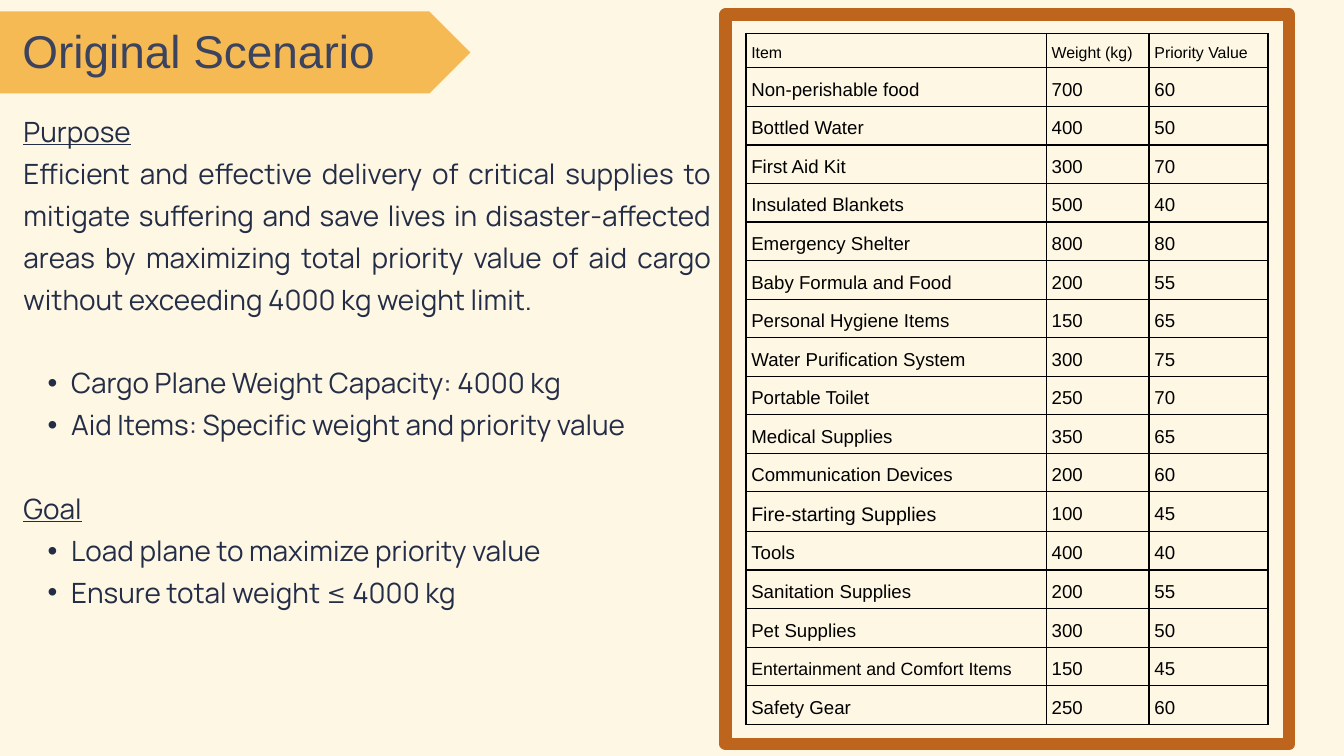
from pptx import Presentation
from pptx.dml.color import RGBColor
from pptx.enum.shapes import MSO_SHAPE as Preset
from pptx.enum.text import MSO_ANCHOR as Anchor, MSO_AUTO_SIZE as AutoSize, PP_ALIGN as Align
from pptx.oxml.ns import qn
from pptx.util import Inches, Pt
from lxml.etree import SubElement


def paint(color_format, hex_code):
    color_format.rgb = RGBColor.from_string(hex_code)


def write(paragraph, text, font_name, size, hex_code, spacing):
    paragraph.line_spacing = Pt(spacing)
    run = paragraph.add_run()
    run.text = text
    run.font.name = font_name
    run.font.size = Pt(size)
    paint(run.font.color, hex_code)
    return run


presentation = Presentation()
presentation.slide_width = Inches(20)
presentation.slide_height = Inches(11.25)
column = presentation.slide_width / 200
row = presentation.slide_height / 112.5

slide = presentation.slides.add_slide(presentation.slide_layouts[5])
slide.background.fill.solid()
paint(slide.background.fill.fore_color, "FEF7E4")
shapes = slide.shapes

frame = shapes.add_shape(Preset.RECTANGLE, int(108 * column), int(2.2 * row), int(83.8 * column), int(108.5 * row))
frame.shadow.inherit = False
frame.fill.solid()
paint(frame.fill.fore_color, "FEF7E4")
frame.line.width = Pt(13.5)
paint(frame.line.color, "BD651D")

supplies = [
    ("Item", "Weight (kg)", "Priority Value"),
    ("Non-perishable food", 700, 60),
    ("Bottled Water", 400, 50),
    ("First Aid Kit", 300, 70),
    ("Insulated Blankets", 500, 40),
    ("Emergency Shelter", 800, 80),
    ("Baby Formula and Food", 200, 55),
    ("Personal Hygiene Items", 150, 65),
    ("Water Purification System", 300, 75),
    ("Portable Toilet", 250, 70),
    ("Medical Supplies", 350, 65),
    ("Communication Devices", 200, 60),
    ("Fire-starting Supplies", 100, 45),
    ("Tools", 400, 40),
    ("Sanitation Supplies", 200, 55),
    ("Pet Supplies", 300, 50),
    ("Entertainment and Comfort Items", 150, 45),
    ("Safety Gear", 250, 60),
]
special_sizes = {"Fire-starting Supplies": 21, "Entertainment and Comfort Items": 19}
special_heights = {"Item": 5.1, "Fire-starting Supplies": 5.9}

table = shapes.add_table(
    len(supplies), 3, int(111 * column), int(5 * row), int(77.7 * column), int(102.9 * row)
).table
table.first_row = table.horz_banding = False
for table_column, width in zip(table.columns, (44.7, 15.3, 17.7)):
    table_column.width = int(width * column)
for row_index, supply in enumerate(supplies):
    table.rows[row_index].height = int(special_heights.get(supply[0], 5.74) * row)
    for column_index, value in enumerate(supply):
        cell = table.cell(row_index, column_index)
        cell.vertical_anchor = Anchor.MIDDLE
        cell.margin_left = cell.margin_right = cell.margin_top = cell.margin_bottom = Inches(0.08)
        size = 17 if row_index == 0 else special_sizes.get(value, 20)
        write(cell.text_frame.paragraphs[0], str(value), "Arial", size, "000000", 1.4 * size)
        properties = cell._tc.get_or_add_tcPr()
        for side in ("a:lnL", "a:lnR", "a:lnT", "a:lnB"):
            border = SubElement(properties, qn(side), w=str(Pt(1.5)))
            border_fill = SubElement(border, qn("a:solidFill"))
            SubElement(border_fill, qn("a:srgbClr"), val="000000")
        cell.fill.background()

body = shapes.add_textbox(int(3.5 * column), int(15.8 * row), int(102.3 * column), int(85.9 * row)).text_frame
body.word_wrap = True
body.margin_left = body.margin_right = body.margin_top = body.margin_bottom = 0
purpose = (
    "Efficient and effective delivery of critical supplies to mitigate suffering and save lives in "
    "disaster-affected areas by maximizing total priority value of aid cargo without exceeding 4000 kg weight limit."
)
body_lines = [
    ("heading", "Purpose", 0),
    ("plain", purpose, 0),
    ("bullet", "Cargo Plane Weight Capacity: 4000 kg", 44.9),
    ("bullet", "Aid Items: Specific weight and priority value", 0),
    ("heading", "Goal", 44.9),
    ("bullet", "Load plane to maximize priority value", 0),
    ("bullet", "Ensure total weight ≤ 4000 kg", 0),
]
for index, (style, text, gap) in enumerate(body_lines):
    paragraph = body.add_paragraph() if index else body.paragraphs[0]
    if style == "bullet":
        paragraph.level = 1
        properties = paragraph._p.get_or_add_pPr()
        properties.set("marL", str(Inches(0.71)))
        properties.set("indent", str(Inches(-0.35)))
        SubElement(properties, qn("a:buFont"), typeface="Arial")
        SubElement(properties, qn("a:buChar"), char="•")
    paragraph.alignment = Align.JUSTIFY
    if gap:
        paragraph.space_before = Pt(gap)
    run = write(paragraph, text, "Manrope", 29.9, "242D47", 44.9)
    run.font.underline = style == "heading"

banner = shapes.add_shape(Preset.CHEVRON, int(-14.3 * column), int(1.7 * row), int(84.3 * column), int(12.2 * row))
banner.adjustments[0] = 0.5
banner.shadow.inherit = False
banner.fill.solid()
paint(banner.fill.fore_color, "F5BA53")
banner.line.fill.background()

title = shapes.title
shapes._spTree.append(title._element)
title.left, title.top = int(-2.7 * column), int(4.9 * row)
title.width, title.height = int(64.5 * column), int(7 * row)
heading = title.text_frame
heading.auto_size = AutoSize.NONE
heading.word_wrap = True
heading.vertical_anchor = Anchor.TOP
heading.margin_left = heading.margin_right = heading.margin_top = heading.margin_bottom = 0
heading.paragraphs[0].alignment = Align.CENTER
write(heading.paragraphs[0], "Original Scenario", "Arial", 49.2, "3B435F", 47.8)

presentation.save("out.pptx")
